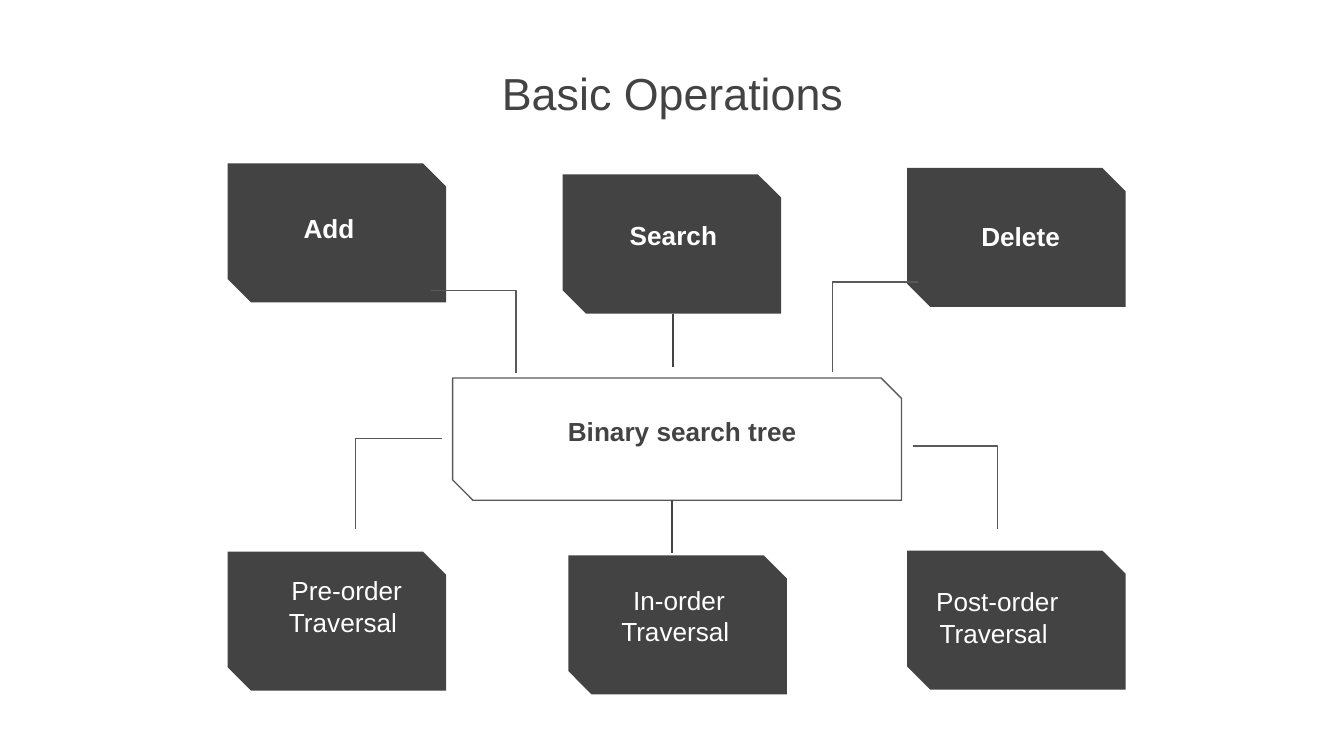
from lxml import etree
from pptx import Presentation
from pptx import util as u
from pptx.dml.color import RGBColor
from pptx.enum import shapes, text
from pptx.oxml.ns import qn

PX = 6350
DARK = RGBColor(0x43, 0x43, 0x43)
GREY = RGBColor(0x59, 0x59, 0x59)
WHITE = RGBColor(0xFF, 0xFF, 0xFF)

deck = Presentation()
deck.slide_width = 1440 * PX
deck.slide_height = 810 * PX
slide = deck.slides.add_slide(deck.slide_layouts[6])


def snip(x, y, w, h):
    box = slide.shapes.add_shape(
        shapes.MSO_SHAPE.SNIP_2_DIAG_RECTANGLE, x * PX, y * PX, w * PX, h * PX)
    box.shadow.inherit = False
    return box


def label(words, x, y, w, h, size, color, bold, anchor):
    box = slide.shapes.add_textbox(x * PX, y * PX, w * PX, h * PX)
    frame = box.text_frame
    frame.text = words
    frame.word_wrap = True
    frame.vertical_anchor = anchor
    frame.margin_left = frame.margin_right = 14 * PX
    frame.margin_top = frame.margin_bottom = 14 * PX
    para = frame.paragraphs[0]
    para.alignment = text.PP_ALIGN.CENTER
    font = para.runs[0].font
    font.name = "Arial"
    font.size = u.Pt(size)
    font.bold = bold
    font.color.rgb = color


for x, y in [(244, 175), (603, 187), (972, 180),
             (244, 591), (609, 595), (972, 590)]:
    card = snip(x, y, 234, 149)
    card.fill.solid()
    card.fill.fore_color.rgb = DARK
    card.line.fill.background()

tree = snip(485, 405, 481, 131)
tree.fill.background()
tree.line.color.rgb = GREY
tree.line.width = u.Pt(0.75)

ELBOW = shapes.MSO_CONNECTOR.ELBOW
STRAIGHT = shapes.MSO_CONNECTOR.STRAIGHT
for kind, x1, y1, x2, y2, color in [
    (ELBOW, 462, 311, 553, 400, GREY),
    (STRAIGHT, 721, 336, 721, 393, DARK),
    (ELBOW, 984, 302, 892, 399, GREY),
    (ELBOW, 474, 470, 381, 567, GREY),
    (STRAIGHT, 720, 536, 720, 593, DARK),
    (ELBOW, 978, 478, 1069, 567, GREY),
]:
    link = slide.shapes.add_connector(kind, x1 * PX, y1 * PX, x2 * PX, y2 * PX)
    link.line.color.rgb = color
    link.line.width = u.Pt(0.75)
    props = link._element.spPr
    etree.SubElement(props, qn("a:effectLst"))
    if kind == ELBOW:
        guides = props.find(qn("a:prstGeom")).find(qn("a:avLst"))
        etree.SubElement(guides, qn("a:gd"), name="adj1", fmla="val 100000")

TOP = text.MSO_ANCHOR.TOP
BOTTOM = text.MSO_ANCHOR.BOTTOM
label("Basic Operations", 310, 56, 821, 148, 24, DARK, False, TOP)
label("Binary search tree", 590, 431, 282, 62, 14, DARK, True, BOTTOM)
for words, x, y, bold in [
    ("Add", 240, 213, True),
    ("Search", 609, 221, True),
    ("Delete", 981, 222, True),
    ("Pre-order Traversal ", 259, 635, False),
    ("In-order Traversal ", 615, 645, False),
    ("Post-order Traversal ", 956, 647, False),
]:
    label(words, x, y, 225, 62, 14, WHITE, bold, BOTTOM)

deck.save("out.pptx")
